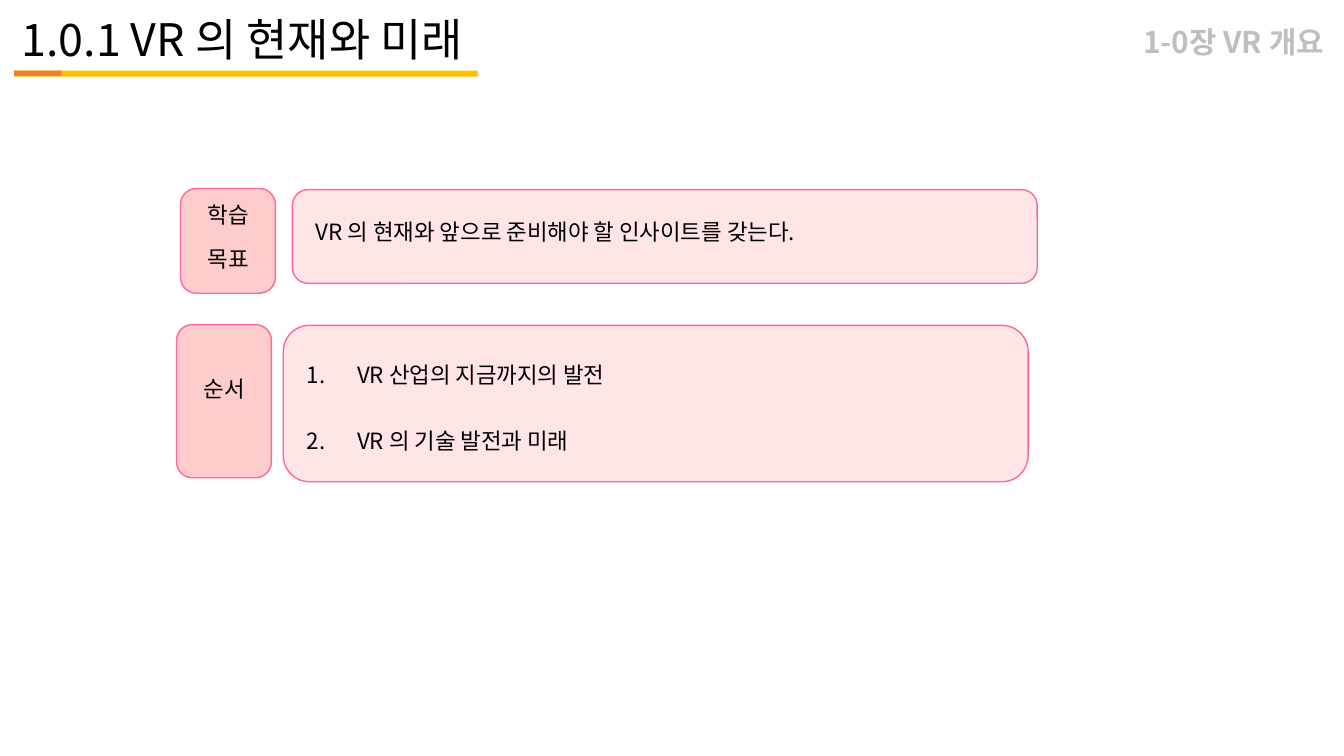
from lxml import etree
from pptx import Presentation
from pptx import util as u
from pptx.dml.color import RGBColor
from pptx.enum import shapes, text
from pptx.oxml import ns

FONT = "Noto Sans CJK KR"
COLORS = {"ink": "000000", "muted": "BFBFBF", "gold": "FFC000",
          "orange": "ED7D31", "pink": "FFCCCC", "outline": "FF6699"}


def rgb(name):
    return RGBColor.from_string(COLORS[name])


def add_text(page, box, lines, size=16, color="ink", bold=False,
             align=text.PP_ALIGN.LEFT, anchor=text.MSO_ANCHOR.MIDDLE,
             insets=(0.34, 0.18), spacing=1.07, before=0, after=0, numbered=False):
    frame = page.shapes.add_textbox(*map(u.Cm, box)).text_frame
    frame.word_wrap = True
    frame.vertical_anchor = anchor
    frame.margin_left = frame.margin_right = u.Cm(insets[0])
    frame.margin_top = frame.margin_bottom = u.Cm(insets[1])
    frame.text = "\n".join(lines)
    for index, para in enumerate(frame.paragraphs):
        if numbered:
            props = para._p.get_or_add_pPr()
            props.set("marL", str(u.Cm(1.27)))
            props.set("indent", str(-u.Cm(1.27)))
            etree.SubElement(props, ns.qn("a:buAutoNum"), type="arabicPeriod")
        para.alignment = align
        para.line_spacing = spacing
        para.space_before = u.Pt(before if index else 0)
        para.space_after = u.Pt(after)
        for span in para.runs:
            span.font.name = FONT
            span.font.size = u.Pt(size)
            span.font.bold = bold
            span.font.color.rgb = rgb(color)
            etree.SubElement(span._r.get_or_add_rPr(), ns.qn("a:ea"), typeface=FONT)


def add_block(page, kind, box, fill, line=None, alpha=None):
    block = page.shapes.add_shape(kind, *map(u.Cm, box))
    block.shadow.inherit = False
    block.fill.solid()
    block.fill.fore_color.rgb = rgb(fill)
    if alpha:
        tint = block._element.spPr.find(".//" + ns.qn("a:srgbClr"))
        etree.SubElement(tint, ns.qn("a:alpha"), val=str(alpha * 1000))
    if line:
        block.line.color.rgb = rgb(line)
        block.line.width = u.Pt(1)
    else:
        block.line.fill.background()


def add_header(page, box):
    left, top, width, height = box
    # Title over a two-colour rule
    add_text(page, (left, top, 18.42, height), ["1.0.1 VR 의 현재와 미래"], size=32,
             anchor=text.MSO_ANCHOR.BOTTOM, insets=(0.18, 0.1), spacing=0.9)
    for rule_width, rule_height, color in ((11.68, 0.15, "gold"), (1.19, 0.13, "orange")):
        add_block(page, shapes.MSO_SHAPE.RECTANGLE,
                  (left, top + height, rule_width, rule_height), color)
    # Chapter name at the right edge
    add_text(page, (left + width - 9.12, top + 0.41, 9.12, 1.37), ["1-0장 VR 개요"],
             size=21.3, color="muted", bold=True, align=text.PP_ALIGN.RIGHT,
             insets=(0.25, 0.13), spacing=0.9)


def add_card(page, box, text_box, lines, alpha=None, **style):
    """Rounded card; text_box is offset from the card's corner."""
    left, top = box[:2]
    add_block(page, shapes.MSO_SHAPE.ROUNDED_RECTANGLE, box, "pink", "outline", alpha)
    across, down, width, height = text_box
    add_text(page, (left + across, top + down, width, height), lines,
             after=10.7, **style)


def add_goal(page, left, top):
    add_card(page, (left, top, 2.39, 2.64), (0.28, -0.18, 1.85, 2.72),
             ["학습", "목표"], align=text.PP_ALIGN.CENTER)
    add_card(page, (left + 2.82, top + 0.03, 18.77, 2.36), (0.25, -0.18, 18.31, 2.44),
             ["VR 의 현재와 앞으로 준비해야 할 인사이트를 갖는다."], alpha=50)


def add_agenda(page, left, top):
    add_card(page, (left, top, 2.39, 3.86), (0.28, 0.46, 1.85, 2.26),
             ["순서"], align=text.PP_ALIGN.CENTER)
    add_card(page, (left + 2.69, top + 0.02, 18.77, 3.94), (0.25, -0.1, 17.81, 4.29),
             ["VR 산업의 지금까지의 발전", "VR 의 기술 발전과 미래"],
             alpha=50, before=16, numbered=True)


def main():
    deck = Presentation()
    deck.slide_width, deck.slide_height = u.Cm(33.87), u.Cm(19.05)
    page = deck.slides.add_slide(deck.slide_layouts[6])
    add_header(page, (0.36, 0, 33.25, 1.78))
    add_goal(page, 4.55, 4.75)
    add_agenda(page, 4.45, 8.18)
    deck.save("out.pptx")


if __name__ == "__main__":
    main()
